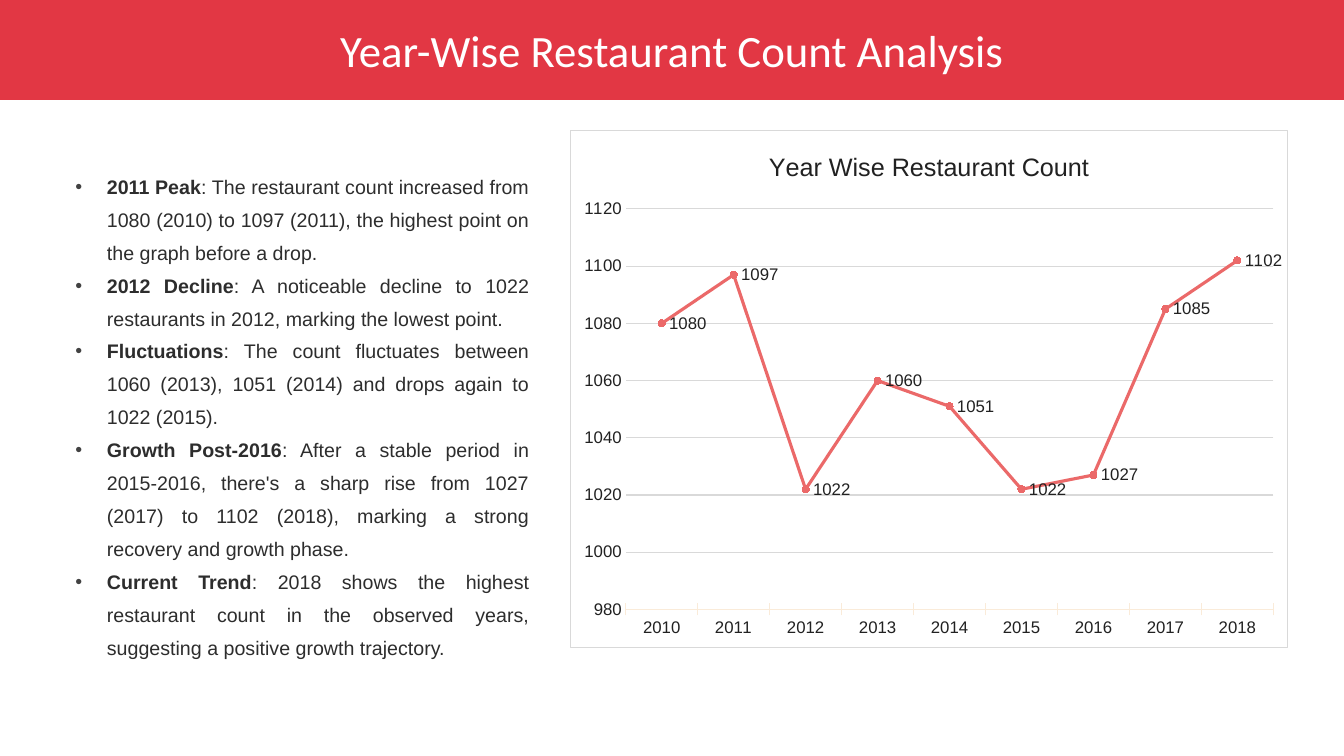
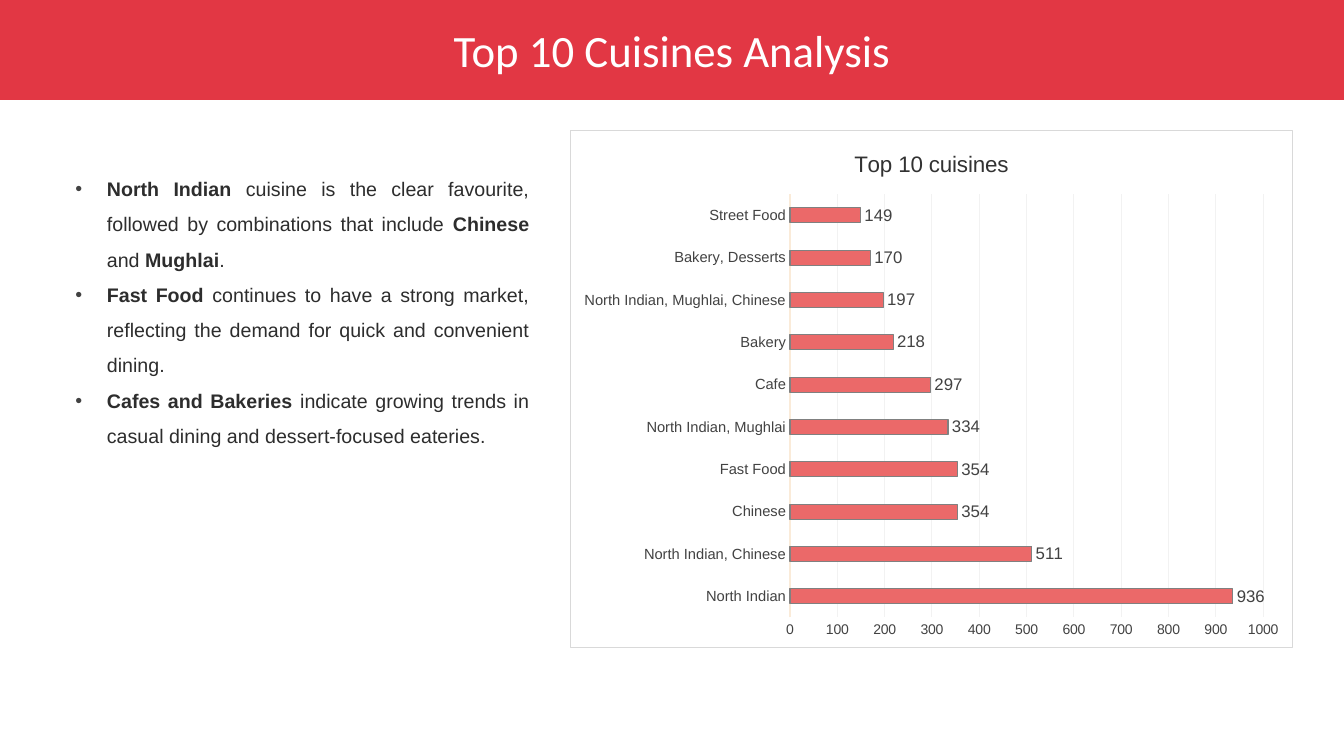
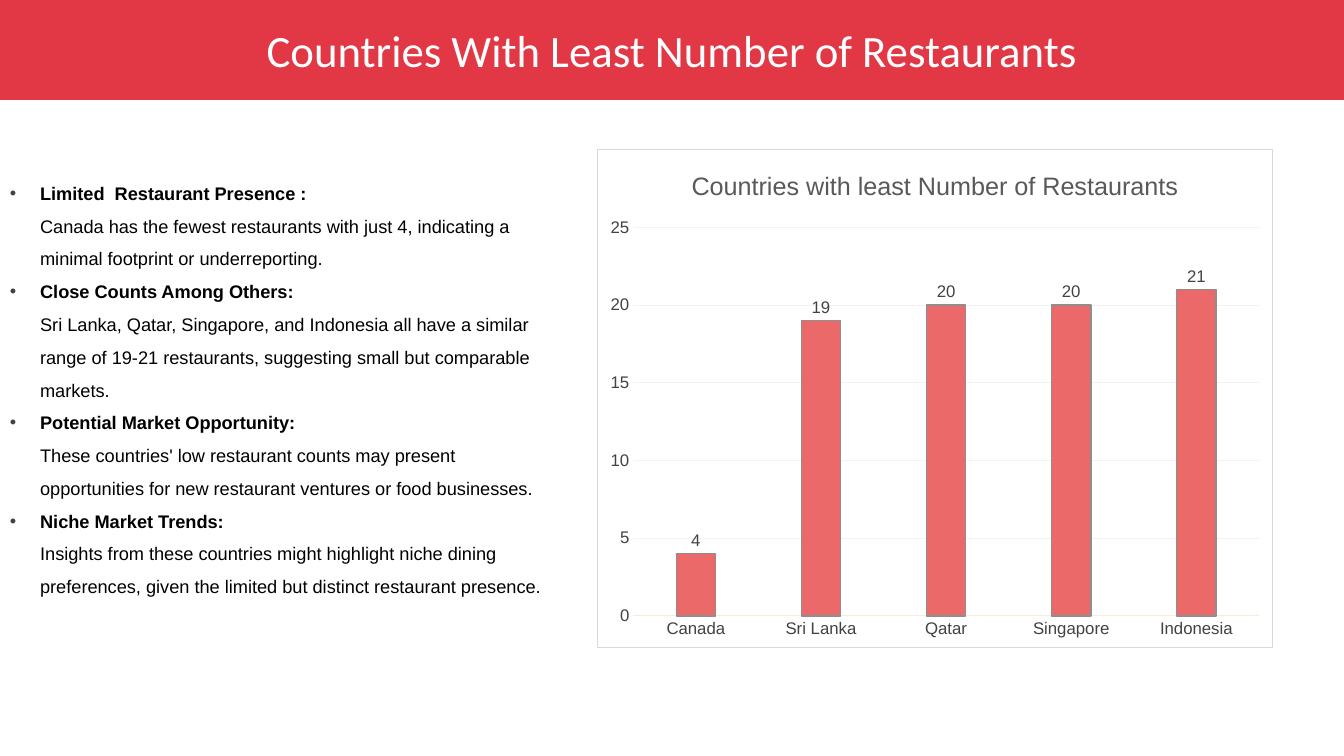
"""Build three slides that pair written restaurant findings with a chart."""
from copy import deepcopy
from dataclasses import dataclass

from lxml import etree
from pptx import Presentation
from pptx import util as u
from pptx.chart import data as chart_data
from pptx.dml.color import RGBColor
from pptx.enum import chart as charts, shapes, text
from pptx.oxml import ns


@dataclass(frozen=True)
class Theme:
    body_font: str = "Arial"
    title_font: str = "Calibri"
    title_size: float = 32
    body_size: float = 14
    compact_size: float = 13
    chart_title_size: float = 18
    small_chart_title_size: float = 16
    label_size: float = 12
    category_size: float = 10.5
    small_label_size: float = 10
    red: str = "E23744"
    coral: str = "EB6969"
    white: str = "FFFFFF"
    black: str = "000000"
    body: str = "2D2D2D"
    ink: str = "212121"
    charcoal: str = "323232"
    dark_grey: str = "424242"
    grey: str = "595959"
    bar_edge: str = "808080"
    column_edge: str = "8E8E8E"
    border: str = "D9D9D9"
    pale_grid: str = "F2F2F2"
    axis: str = "FAEBD9"
    chart_text: str = "C0791B"


def color(value):
    return RGBColor.from_string(value)


def set_font(font, name, size, fill, bold=False):
    font.name, font.size, font.bold = name, u.Pt(size), bold
    font.color.rgb = color(fill)


def set_line(line, fill, width=0.75):
    line.color.rgb = color(fill)
    line.width = u.Pt(width)


def write_text(paragraph, content, **style):
    """Write text in which ** switches bold and a newline breaks the line."""
    for index, part in enumerate(content.split("**")):
        for number, line in enumerate(part.split("\n")):
            if number:
                paragraph.add_line_break()
                line_break = paragraph.runs[-1].font
                mark = paragraph.runs[-1]._r.getnext()
                mark.append(deepcopy(paragraph.runs[-1]._r.rPr))
            if line:
                run = paragraph.add_run()
                run.text = line
                set_font(run.font, bold=index % 2 == 1, **style)


def add_bullet(paragraph, fill, margin, indent):
    properties = paragraph._p.get_or_add_pPr()
    properties.set("marL", str(u.Pt(margin)))
    properties.set("indent", str(u.Pt(-indent)))
    bullet_color = etree.SubElement(properties, ns.qn("a:buClr"))
    etree.SubElement(bullet_color, ns.qn("a:srgbClr"), val=fill)
    etree.SubElement(properties, ns.qn("a:buFont"), typeface="Arial")
    etree.SubElement(properties, ns.qn("a:buChar"), char="•")


def frame_chart(chart, fill, border):
    properties = etree.Element(ns.qn("c:spPr"))
    line = etree.Element(ns.qn("a:ln"), w=str(u.Pt(0.75)))
    for parent, value in ((properties, fill), (line, border)):
        solid = etree.SubElement(parent, ns.qn("a:solidFill"))
        etree.SubElement(solid, ns.qn("a:srgbClr"), val=value)
    properties.append(line)
    chart.element.find(ns.qn("c:chart")).addnext(properties)


class Deck:
    def __init__(self, theme):
        self.theme = theme
        self.presentation = Presentation()
        self.presentation.slide_width = u.Pt(960)
        self.presentation.slide_height = u.Pt(540)
        self.slide = None

    def add_slide(self):
        self.slide = self.presentation.slides.add_slide(self.presentation.slide_layouts[6])

    def add_band(self, title):
        theme = self.theme
        shape = self.slide.shapes.add_shape(
            shapes.MSO_SHAPE.RECTANGLE, 0, 0, self.presentation.slide_width, u.Pt(71.3))
        shape.shadow.inherit = False
        shape.fill.solid()
        shape.fill.fore_color.rgb = color(theme.red)
        shape.line.fill.background()
        frame = shape.text_frame
        frame.vertical_anchor = text.MSO_ANCHOR.MIDDLE
        paragraph = frame.paragraphs[0]
        paragraph.alignment = text.PP_ALIGN.CENTER
        write_text(paragraph, title, name=theme.title_font, size=theme.title_size,
                   fill=theme.white)

    def add_findings(self, findings, box, size, fill, spacing, margin=22.5, indent=22.5,
                     alignment=text.PP_ALIGN.JUSTIFY):
        frame = self.slide.shapes.add_textbox(*map(u.Pt, box)).text_frame
        frame.word_wrap = True
        for index, finding in enumerate(findings):
            paragraph = frame.add_paragraph() if index else frame.paragraphs[0]
            add_bullet(paragraph, self.theme.dark_grey, margin, indent)
            paragraph.alignment = alignment
            paragraph.line_spacing = spacing
            write_text(paragraph, finding, name=self.theme.body_font, size=size, fill=fill)

    def add_chart(self, kind, title, points, box, scale, title_size, title_fill, label_fill,
                  category_size, value_size, grid,
                  category_tick=charts.XL_TICK_MARK.NONE,
                  label_position=charts.XL_LABEL_POSITION.OUTSIDE_END):
        theme = self.theme
        values = chart_data.CategoryChartData()
        values.categories = list(points)
        values.add_series("Series 1", list(points.values()))
        chart = self.slide.shapes.add_chart(kind, *map(u.Pt, box), values).chart
        set_font(chart.font, theme.body_font, theme.small_label_size, theme.chart_text)
        frame_chart(chart, theme.white, theme.border)
        chart.has_legend = False
        chart.has_title = True
        chart.chart_title.include_in_layout = False
        write_text(chart.chart_title.text_frame.paragraphs[0], title, name=theme.body_font,
                   size=title_size, fill=title_fill)

        category_axis, value_axis = chart.category_axis, chart.value_axis
        value_axis.minimum_scale, value_axis.maximum_scale, value_axis.major_unit = scale
        for axis, size, tick in ((category_axis, category_size, category_tick),
                                 (value_axis, value_size, charts.XL_TICK_MARK.NONE)):
            set_font(axis.tick_labels.font, theme.body_font, size, label_fill)
            axis.major_tick_mark = tick
            axis.minor_tick_mark = charts.XL_TICK_MARK.NONE
        category_axis.has_major_gridlines = False
        set_line(category_axis.format.line, theme.axis)
        value_axis.has_major_gridlines = True
        set_line(value_axis.major_gridlines.format.line, grid)
        value_axis.format.line.fill.background()

        plot = chart.plots[0]
        plot.vary_by_categories = False
        labels = plot.series[0].data_labels
        labels.show_value = True
        labels.position = label_position
        set_font(labels.font, theme.body_font, theme.label_size, label_fill)
        return plot

    def style_line(self, plot):
        series = plot.series[0]
        series.smooth = False
        set_line(series.format.line, self.theme.coral, 2.25)
        series.marker.style = charts.XL_MARKER_STYLE.CIRCLE
        series.marker.size = 5
        series.marker.format.fill.solid()
        series.marker.format.fill.fore_color.rgb = color(self.theme.coral)
        set_line(series.marker.format.line, self.theme.coral)

    def style_bars(self, plot, gap, edge, edge_width=0.75, overlap=0):
        plot.gap_width, plot.overlap = gap, overlap
        series = plot.series[0]
        series.invert_if_negative = False
        series.format.fill.solid()
        series.format.fill.fore_color.rgb = color(self.theme.coral)
        set_line(series.format.line, edge, edge_width)


def build_year_slide(deck, theme):
    deck.add_slide()
    deck.add_findings([
        "**2011 Peak**: The restaurant count increased from 1080 (2010) to 1097 (2011), "
        "the highest point on the graph before a drop.",
        "**2012 Decline**: A noticeable decline to 1022 restaurants in 2012, marking the "
        "lowest point.",
        "**Fluctuations**: The count fluctuates between 1060 (2013), 1051 (2014) and drops "
        "again to 1022 (2015).",
        "**Growth Post-2016**: After a stable period in 2015-2016, there's a sharp rise from "
        "1027 (2017) to 1102 (2018), marking a strong recovery and growth phase.",
        "**Current Trend**: 2018 shows the highest restaurant count in the observed years, "
        "suggesting a positive growth trajectory.",
    ], (46.8, 114.5, 338.4, 370), theme.body_size, theme.body, 1.4)
    deck.add_band("Year-Wise Restaurant Count Analysis")
    counts = [1080, 1097, 1022, 1060, 1051, 1022, 1027, 1085, 1102]
    plot = deck.add_chart(
        charts.XL_CHART_TYPE.LINE_MARKERS, "Year Wise Restaurant Count",
        {str(year): count for year, count in enumerate(counts, 2010)},
        (406.8, 92.9, 513.4, 370), (980, 1120, 20),
        title_size=theme.chart_title_size, title_fill=theme.ink, label_fill=theme.ink,
        category_size=theme.label_size, value_size=theme.label_size, grid=theme.border,
        category_tick=charts.XL_TICK_MARK.CROSS,
        label_position=charts.XL_LABEL_POSITION.RIGHT)
    deck.style_line(plot)


def build_cuisine_slide(deck, theme):
    deck.add_slide()
    deck.add_findings([
        "**North Indian **cuisine is the clear favourite, followed by combinations that "
        "include **Chinese** and **Mughlai**.",
        "**Fast Food** continues to have a strong market, reflecting the demand for quick "
        "and convenient dining.",
        "**Cafes and Bakeries **indicate growing trends in casual dining and "
        "dessert-focused eateries.",
    ], (46.8, 114.5, 338.4, 370), theme.body_size, theme.body, 1.5)
    deck.add_band("Top 10 Cuisines Analysis")
    plot = deck.add_chart(
        charts.XL_CHART_TYPE.BAR_CLUSTERED, "Top 10 cuisines",
        {"North Indian": 936, "North Indian, Chinese": 511, "Chinese": 354,
         "Fast Food": 354, "North Indian, Mughlai": 334, "Cafe": 297, "Bakery": 218,
         "North Indian, Mughlai, Chinese": 197, "Bakery, Desserts": 170,
         "Street Food": 149},
        (406.8, 92.9, 517, 370), (0, 1000, 100),
        title_size=theme.small_chart_title_size, title_fill=theme.charcoal,
        label_fill=theme.dark_grey, category_size=theme.category_size,
        value_size=theme.small_label_size, grid=theme.pale_grid)
    deck.style_bars(plot, 182, theme.bar_edge)


def build_country_slide(deck, theme):
    deck.add_slide()
    deck.add_findings([
        "**Limited  Restaurant Presence :\n**Canada has the fewest restaurants with just 4, "
        "indicating a minimal footprint or underreporting.",
        "**Close Counts Among Others:\n**Sri Lanka, Qatar, Singapore, and Indonesia all have "
        "a similar range of 19-21 restaurants, suggesting small but comparable markets.",
        "**Potential Market Opportunity:\n**These countries' low restaurant counts may "
        "present opportunities for new restaurant ventures or food businesses.",
        "**Niche Market Trends:\n**Insights from these countries might highlight niche "
        "dining preferences, given the limited but distinct restaurant presence.",
    ], (0, 118.8, 401, 367.2), theme.compact_size, theme.black, 1.5, margin=21.6, indent=23,
        alignment=text.PP_ALIGN.LEFT)
    deck.add_band("Countries With Least Number of Restaurants")
    plot = deck.add_chart(
        charts.XL_CHART_TYPE.COLUMN_CLUSTERED, "Countries with least Number of Restaurants",
        {"Canada": 4, "Sri Lanka": 19, "Qatar": 20, "Singapore": 20, "Indonesia": 21},
        (426.2, 106.6, 483.1, 356.4), (0, 25, 5),
        title_size=theme.chart_title_size, title_fill=theme.grey,
        label_fill=theme.dark_grey, category_size=theme.label_size,
        value_size=theme.label_size, grid=theme.pale_grid)
    deck.style_bars(plot, 219, theme.column_edge, edge_width=1, overlap=-27)


def main():
    theme = Theme()
    deck = Deck(theme)
    for build in (build_year_slide, build_cuisine_slide, build_country_slide):
        build(deck, theme)
    deck.presentation.save("out.pptx")


if __name__ == "__main__":
    main()
